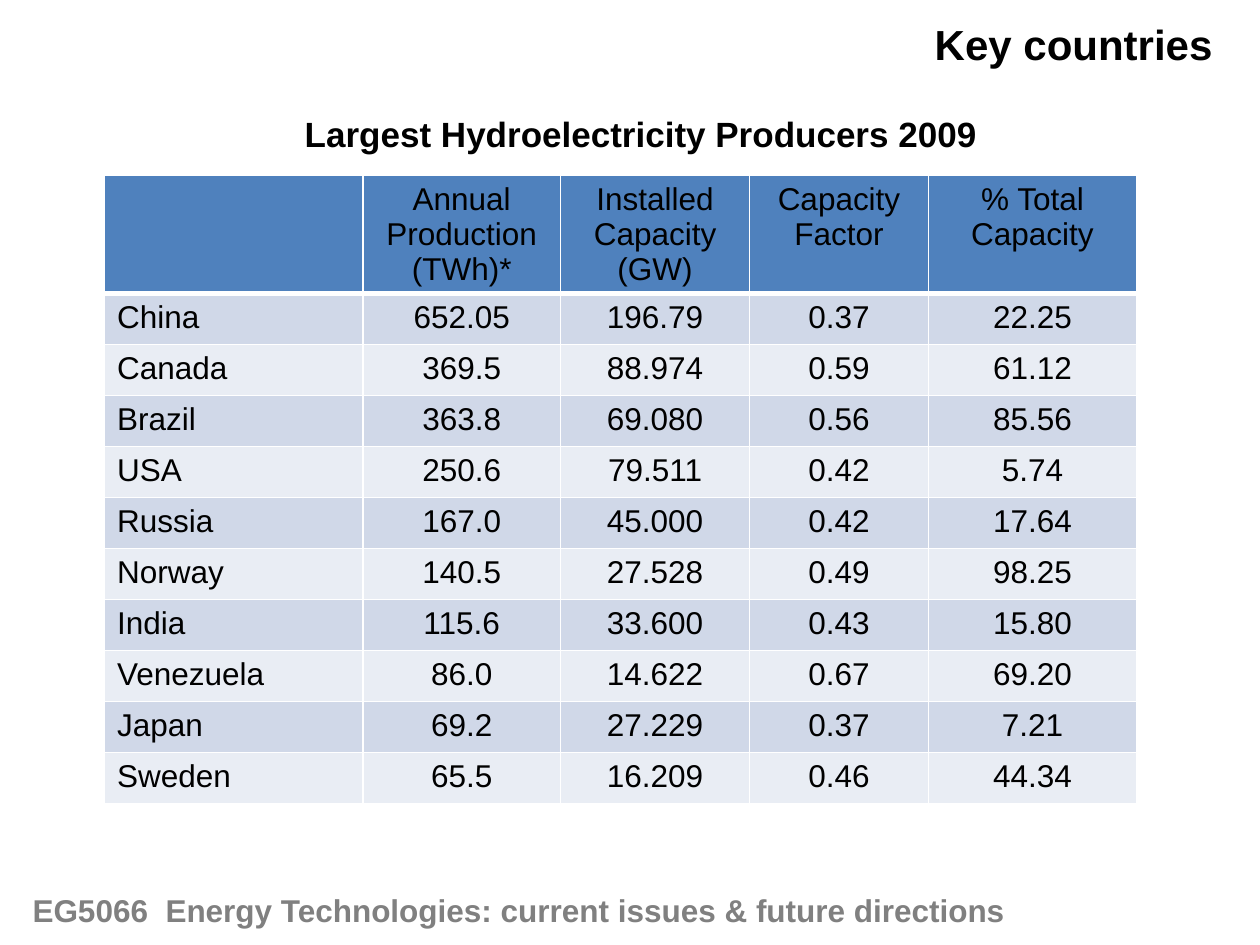
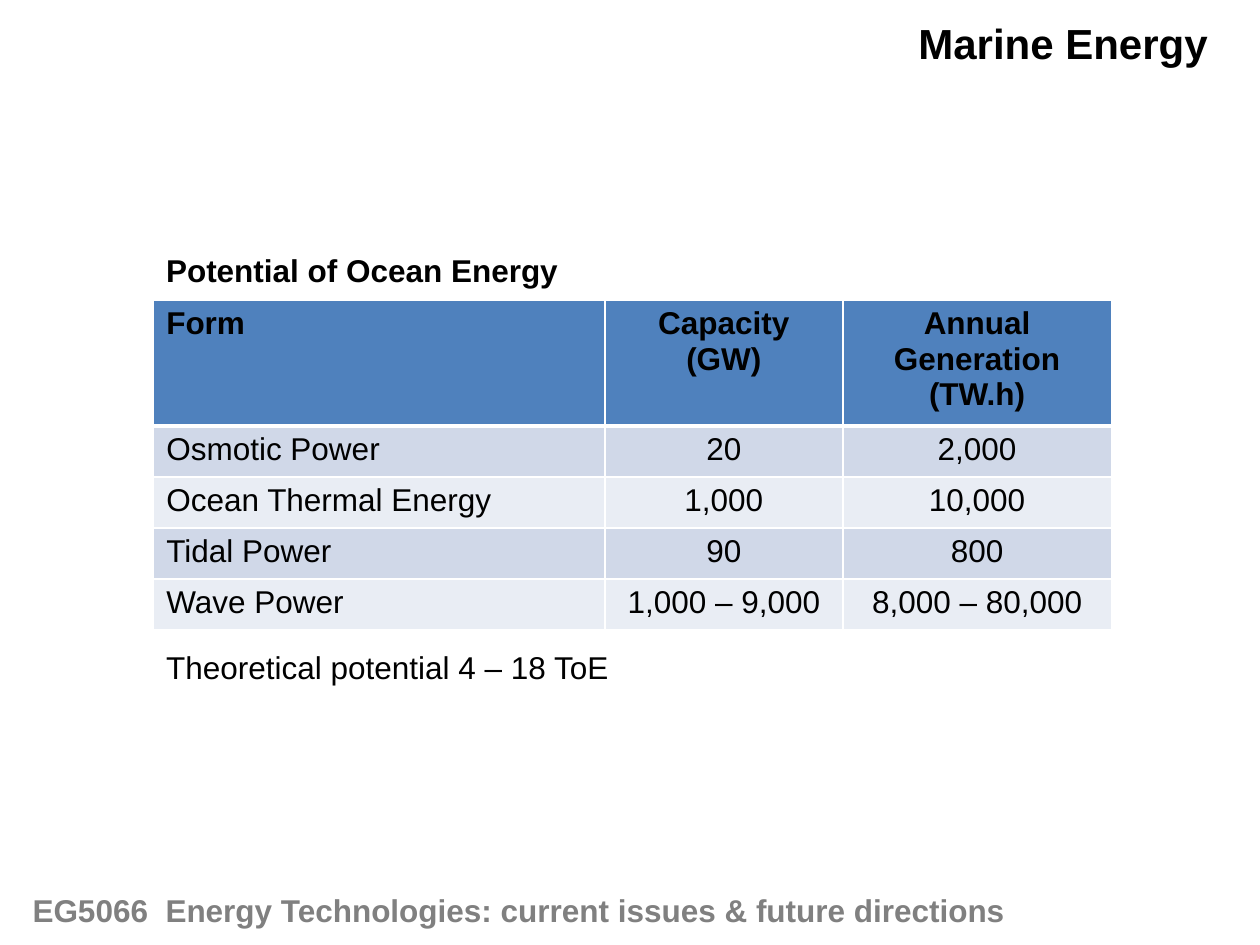
"""Two slides of energy tables with a shared title style, table style and footer."""
from lxml.etree import SubElement as Sub
from pptx import Presentation
from pptx.dml.color import RGBColor
from pptx.enum.text import MSO_AUTO_SIZE as Fit, PP_ALIGN as Align
from pptx.oxml.ns import qn
from pptx.util import Inches, Pt

BLACK = RGBColor(0x00, 0x00, 0x00)
GREY = RGBColor(0x80, 0x80, 0x80)
WHITE = RGBColor(0xFF, 0xFF, 0xFF)
HEAD = RGBColor(0x4F, 0x81, 0xBD)
BANDS = [RGBColor(0xE9, 0xED, 0xF4), RGBColor(0xD0, 0xD8, 0xE8)]

BODY = {"name": "Arial", "size": Pt(18), "bold": False}
BOLD = {**BODY, "bold": True}
TITLE = {**BOLD, "size": Pt(24)}
LEAD = {**BOLD, "size": Pt(20)}
FOOTER = "EG5066  Energy Technologies: current issues & future directions"

PAGES = [
    {
        "texts": [
            ("Key countries", (7.32, 0.1, 2.41, 0.5), TITLE),
            ("Largest Hydroelectricity Producers 2009", (2.32, 0.84, 5.58, 0.44), LEAD),
        ],
        "box": (0.83, 1.39, 8.19, 4.99),
        "cols": [2.05, 1.57, 1.5, 1.42, 1.65],
        "top": 0.94,
        "head": BODY,
        "rows": [
            ("", "Annual Production\n(TWh)*", "Installed Capacity\n(GW)",
             "Capacity Factor", "% Total Capacity"),
            ("China", "652.05", "196.79", "0.37", "22.25"),
            ("Canada", "369.5", "88.974", "0.59", "61.12"),
            ("Brazil", "363.8", "69.080", "0.56", "85.56"),
            ("USA", "250.6", "79.511", "0.42", "5.74"),
            ("Russia", "167.0", "45.000", "0.42", "17.64"),
            ("Norway", "140.5", "27.528", "0.49", "98.25"),
            ("India", "115.6", "33.600", "0.43", "15.80"),
            ("Venezuela", "86.0", "14.622", "0.67", "69.20"),
            ("Japan", "69.2", "27.229", "0.37", "7.21"),
            ("Sweden", "65.5", "16.209", "0.46", "44.34"),
        ],
    },
    {
        "texts": [
            ("Marine Energy", (7.19, 0.09, 2.5, 0.5), TITLE),
            ("Potential of Ocean Energy", (1.22, 1.94, 3.34, 0.4), BOLD),
            ("Theoretical potential 4 – 18 ToE", (1.22, 5.09, 3.75, 0.4), BODY),
        ],
        "box": (1.22, 2.38, 7.6, 2.61),
        "cols": [3.58, 1.89, 2.13],
        "top": 0.99,
        "head": BOLD,
        "rows": [
            ("Form", "Capacity\n(GW)", "Annual Generation\n(TW.h)"),
            ("Osmotic Power", "20", "2,000"),
            ("Ocean Thermal Energy", "1,000", "10,000"),
            ("Tidal Power", "90", "800"),
            ("Wave Power", "1,000 – 9,000", "8,000 – 80,000"),
        ],
    },
]


def write(frame, text, form, color=BLACK, align=Align.LEFT):
    frame.text = text
    for para in frame.paragraphs:
        para.alignment = align
        for key, value in form.items():
            setattr(para.font, key, value)
        para.font.color.rgb = color


def edge(cell, sides):
    props = cell._tc.get_or_add_tcPr()
    for place, (side, width) in enumerate(sides.items()):
        line = Sub(props, qn("a:" + side), w=str(Pt(width)))
        props.insert(place, line)
        Sub(Sub(line, qn("a:solidFill")), qn("a:srgbClr"), val=str(WHITE))


deck = Presentation()
deck.slide_width, deck.slide_height = Inches(10), Inches(7.5)

for page in PAGES:
    slide = deck.slides.add_slide(deck.slide_layouts[6])
    rows, cols = page["rows"], page["cols"]
    grid = slide.shapes.add_table(
        len(rows), len(cols), *map(Inches, page["box"])).table
    for col, width in zip(grid.columns, cols):
        col.width = Inches(width)
    pitch = (page["box"][3] - page["top"]) / (len(rows) - 1)

    for r, row in enumerate(rows):
        grid.rows[r].height = Inches(pitch if r else page["top"])
        for c, text in enumerate(row):
            cell = grid.cell(r, c)
            cell.fill.solid()
            cell.fill.fore_color.rgb = BANDS[r % 2] if r else HEAD
            write(cell.text_frame, text, BODY if r else page["head"],
                  align=Align.CENTER if c else Align.LEFT)
            edge(cell, {"lnL": 1, "lnR": 1, "lnT": 3 if r == 1 else 1,
                        "lnB": 1 if r else 3})

    for text, box, form in page["texts"]:
        frame = slide.shapes.add_textbox(*map(Inches, box)).text_frame
        frame.word_wrap = False
        frame.auto_size = Fit.SHAPE_TO_FIT_TEXT
        write(frame, text, form)

    foot = slide.shapes.add_textbox(*map(Inches, (0.16, 7.02, 8.59, 0.4))).text_frame
    foot.word_wrap = True
    foot.auto_size = Fit.SHAPE_TO_FIT_TEXT
    write(foot, FOOTER, BOLD, GREY)

deck.save("out.pptx")
